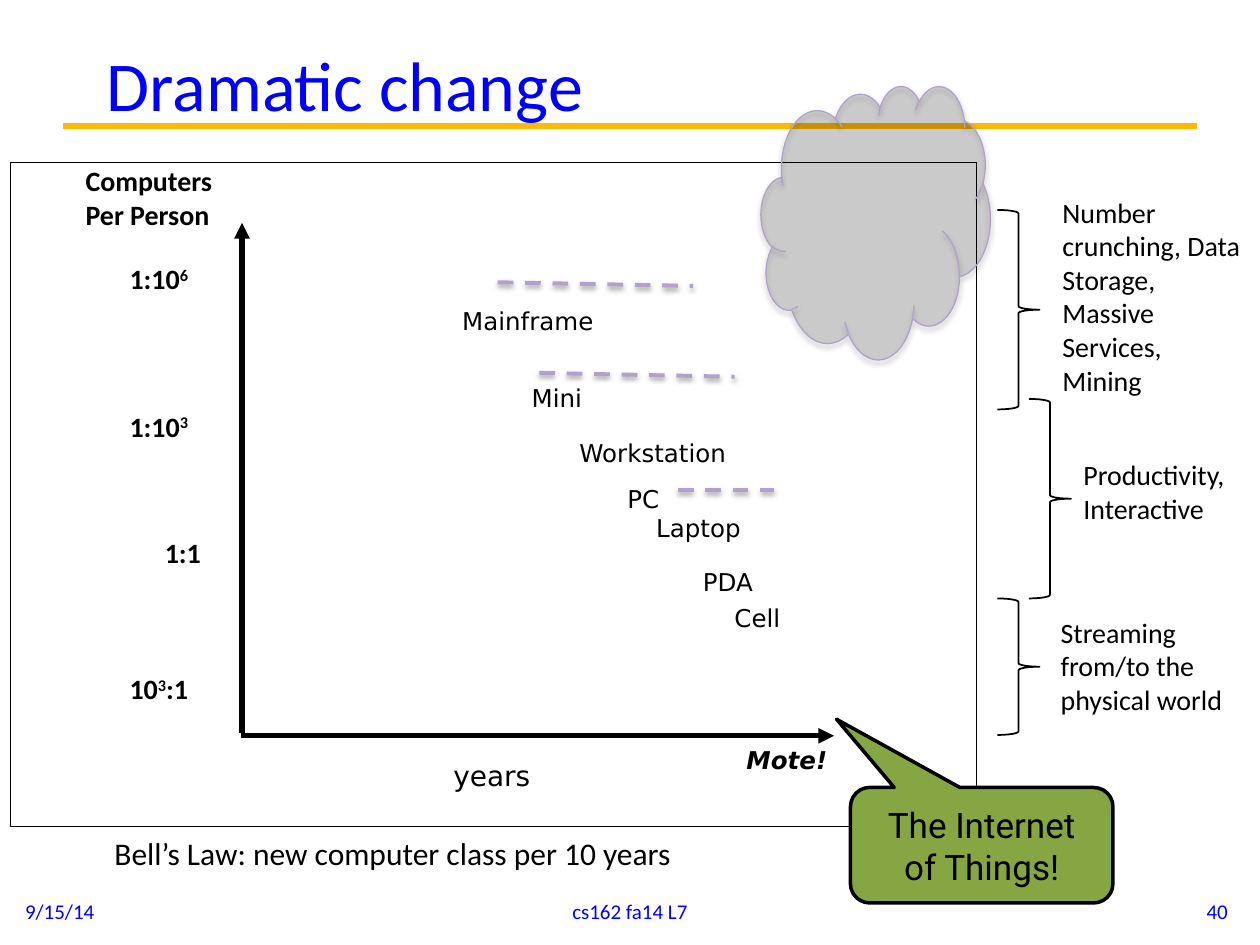
from lxml.etree import SubElement
from pptx import Presentation
from pptx.dml.color import RGBColor
from pptx.enum.dml import MSO_LINE
from pptx.enum.shapes import MSO_CONNECTOR, MSO_SHAPE
from pptx.enum.text import MSO_ANCHOR, PP_ALIGN
from pptx.oxml.ns import qn
from pptx.util import Pt

COLORS = {
    "blue": "0000FF",
    "gold": "FBBA03",
    "black": "000000",
    "white": "FFFFFF",
    "lilac": "B3A2C7",
    "green": "86A644",
}
BODY, LABEL, CALLOUT = "Calibri", "DejaVu Sans", "Roboto"


def rgb(name):
    return RGBColor.from_string(COLORS[name])


class SlideBuilder:
    """Holds the current slide and draws styled elements, all in points."""

    def __init__(self, slide):
        self.shapes = slide.shapes

    def fill_text(self, tf, lines, size, font=BODY, color="black", bold=False,
                  italic=False, align=PP_ALIGN.LEFT, anchor=MSO_ANCHOR.TOP):
        tf.word_wrap = True
        tf.vertical_anchor = anchor
        tf.text = "\n".join(lines)
        for p in tf.paragraphs:
            p.alignment = align
            for r in p.runs:
                self.style(r, size, font, color, bold, italic)

    def style(self, r, size, font, color, bold, italic=False):
        r.font.size = Pt(size)
        r.font.name = font
        r.font.bold = bold
        r.font.italic = italic
        r.font.color.rgb = rgb(color)

    def text(self, box, lines, size, **style):
        sp = self.shapes.add_textbox(*map(Pt, box))
        self.fill_text(sp.text_frame, lines, size, **style)

    def ratio(self, box, base, power="", rest=""):
        """Bold axis label with an optional raised exponent."""
        tf = self.shapes.add_textbox(*map(Pt, box)).text_frame
        tf.word_wrap = True
        for part in filter(None, (base, power, rest)):
            r = tf.paragraphs[0].add_run()
            r.text = part
            self.style(r, 16, BODY, "black", True)
            if part is power:
                r._r.get_or_add_rPr().set("baseline", "30000")

    def shape(self, kind, box, line, width, fill=None, alpha=None):
        sp = self.shapes.add_shape(kind, *map(Pt, box))
        sp.shadow.inherit = False
        sp.line.color.rgb = rgb(line)
        sp.line.width = Pt(width)
        if fill:
            sp.fill.solid()
            sp.fill.fore_color.rgb = rgb(fill)
        else:
            sp.fill.background()
        if alpha:
            clr = sp._element.spPr.find(qn("a:solidFill"))[0]
            SubElement(clr, qn("a:alpha"), val=str(alpha * 1000))
        return sp

    def line(self, start, end, color, width, arrow=False):
        cx = self.shapes.add_connector(MSO_CONNECTOR.STRAIGHT,
                                       *map(Pt, start + end))
        cx.line.color.rgb = rgb(color)
        cx.line.width = Pt(width)
        if arrow:
            SubElement(cx.line._get_or_add_ln(), qn("a:tailEnd"),
                       type="triangle")
        SubElement(cx._element.spPr, qn("a:effectLst"))
        return cx

    def drop_shadow(self, sp, alpha, distance):
        effects = sp._element.spPr.find(qn("a:effectLst"))
        shadow = SubElement(effects, qn("a:outerShdw"), blurRad=str(Pt(3.1)),
                            dist=str(Pt(distance)), dir="5400000",
                            rotWithShape="0")
        clr = SubElement(shadow, qn("a:srgbClr"), val=COLORS["black"])
        SubElement(clr, qn("a:alpha"), val=str(alpha * 1000))

    def dashes(self, start, end):
        cx = self.line(start, end, "lilac", 2.25)
        cx.line.dash_style = MSO_LINE.DASH
        self.drop_shadow(cx, 38, 1.6)


def main():
    prs = Presentation()
    prs.slide_width, prs.slide_height = Pt(720), Pt(540)
    s = SlideBuilder(prs.slides.add_slide(prs.slide_layouts[6]))

    s.line((36, 72), (684, 72), "gold", 3.75)
    s.text((54, 12.2, 623, 71.3), ["Dramatic change"], 40, color="blue",
           anchor=MSO_ANCHOR.MIDDLE)

    # Chart frame, axes and axis labels
    s.shape(MSO_SHAPE.RECTANGLE, (6, 93, 552, 379.3), "black", 0.75)
    s.text((252, 430, 80, 26.6), ["years"], 16, font=LABEL)
    s.text((41.8, 90, 135, 46), ["Computers", "Per Person"], 16, bold=True)
    s.ratio((67, 146.2, 72, 26.6), "1:10", "6")
    s.ratio((67, 230.4, 72, 26.6), "1:10", "3")
    s.ratio((87.1, 302.4, 52, 26.6), "1:1")
    s.ratio((67, 380.2, 72, 26.6), "10", "3", ":1")
    s.line((137.5, 420.5), (476.6, 420.5), "black", 3, arrow=True)
    s.line((138.3, 419), (138.3, 127.4), "black", 3, arrow=True)

    # Computer classes
    for name, left, top, width in [
        ("Mainframe", 257, 171.4, 148),
        ("Mini", 296.7, 215.3, 80),
        ("Workstation", 324, 247, 142),
        ("PC", 351.4, 272.9, 53),
        ("Laptop", 367.9, 289.4, 116),
        ("PDA", 394.6, 320.4, 68),
        ("Cell", 412.6, 341.3, 55),
    ]:
        s.text((left, top, width, 24.5), [name], 14, font=LABEL)
    s.text((419.5, 421.9, 61.5, 24), ["Mote!"], 14, font=LABEL, bold=True,
           italic=True)

    s.dashes((284.4, 161.3), (396, 163.4))
    s.dashes((308.2, 213.1), (419.8, 215.3))
    s.dashes((387.4, 280.1), (442.1, 280.1))

    cloud = s.shape(MSO_SHAPE.CLOUD, (434.9, 49, 131, 156.2), "lilac", 0.75,
                    fill="black", alpha=16)
    s.drop_shadow(cloud, 35, 1.8)

    s.text((58.3, 473, 527, 36),
           ["Bell’s Law: new computer class per 10 years"], 18)

    callout = s.shape(MSO_SHAPE.ROUNDED_RECTANGULAR_CALLOUT,
                      (486, 450, 150, 66), "black", 2, fill="green")
    for i, value in enumerate((-0.553, -1.091, 0.167)):
        callout.adjustments[i] = value
    s.fill_text(callout.text_frame, ["The Internet of Things!"], 20,
                font=CALLOUT, align=PP_ALIGN.CENTER, anchor=MSO_ANCHOR.MIDDLE)

    # Braces and the uses they group
    for left, top, height in [(570, 120, 114), (588, 228, 114),
                              (570, 342, 78)]:
        s.shape(MSO_SHAPE.RIGHT_BRACE, (left, top, 24, height), "black", 1,
                fill="white")
    for left, top, height, lines in [
        (600, 108, 124, ["Number crunching, Data Storage, Massive Services,",
                         "Mining"]),
        (612, 258, 46, ["Productivity,", "Interactive"]),
        (599, 348, 65.5, ["Streaming from/to the physical world"]),
    ]:
        s.text((left, top, 120, height), lines, 16)

    # Footer
    for left, width, words, align in [
        (7.2, 168, "9/15/14", PP_ALIGN.LEFT),
        (246, 228, "cs162 fa14 L7", PP_ALIGN.CENTER),
        (540.7, 168, "40", PP_ALIGN.RIGHT),
    ]:
        s.text((left, 506.2, width, 28.8), [words], 12, color="blue",
               align=align, anchor=MSO_ANCHOR.MIDDLE)

    prs.save("out.pptx")


if __name__ == "__main__":
    main()
